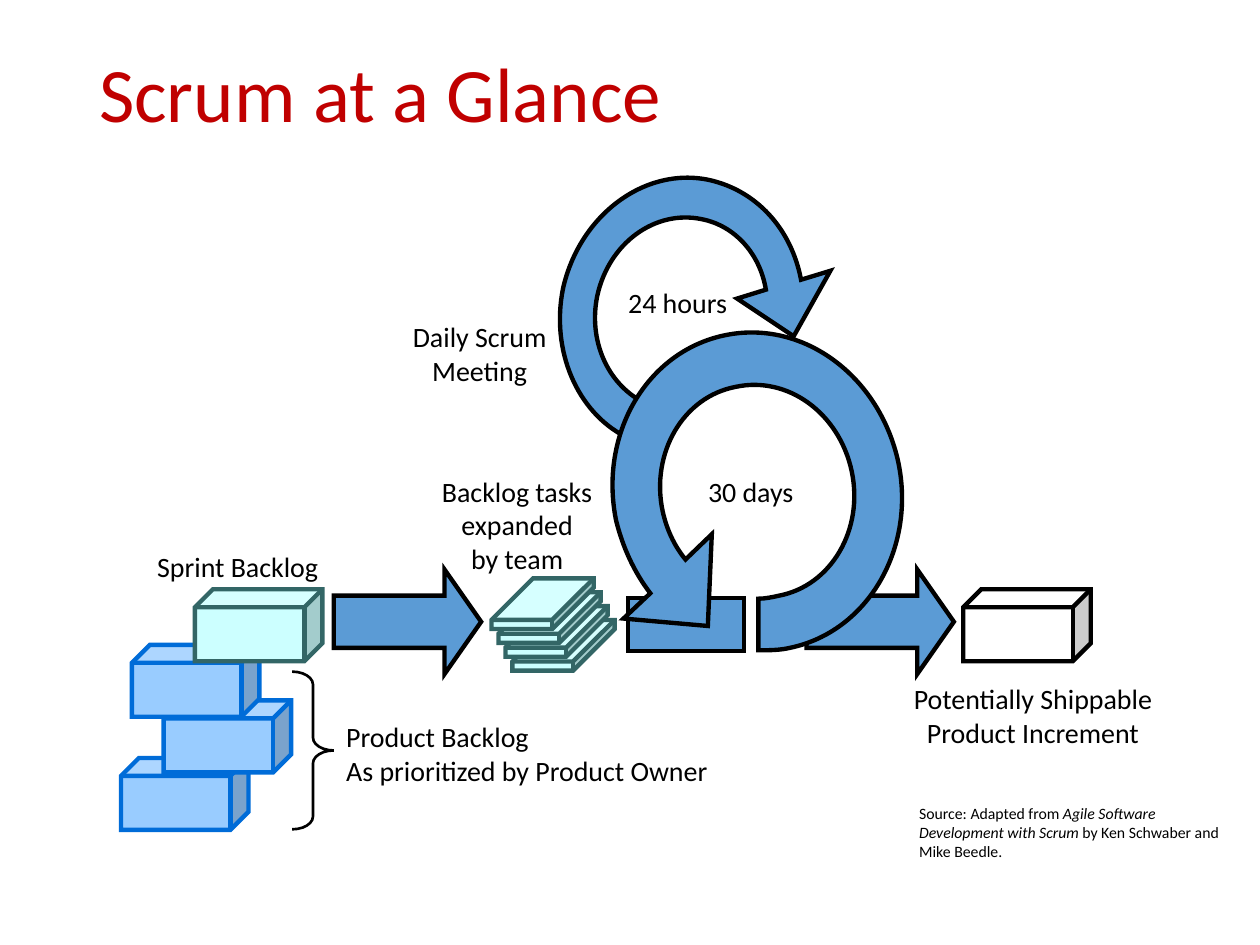
"""Build the "Scrum at a Glance" process slide."""
import lxml.etree
import pptx
import pptx.dml.color
import pptx.enum.shapes
import pptx.enum.text
import pptx.oxml.ns
import pptx.util

Cm = pptx.util.Cm
qn = pptx.oxml.ns.qn
RGBColor = pptx.dml.color.RGBColor
SHAPE = pptx.enum.shapes.MSO_SHAPE
ALIGN = pptx.enum.text.PP_ALIGN
AUTO = pptx.enum.text.MSO_AUTO_SIZE

BLACK = RGBColor(0x00, 0x00, 0x00)
WHITE = RGBColor(0xFF, 0xFF, 0xFF)
RED = RGBColor(0xC0, 0x00, 0x00)
BLUE = RGBColor(0x5B, 0x9B, 0xD5)
SKY = RGBColor(0x99, 0xCC, 0xFF)
COBALT = RGBColor(0x00, 0x6C, 0xD8)
MINT = RGBColor(0xCC, 0xFF, 0xFF)
TEAL = RGBColor(0x33, 0x66, 0x66)


def paint(shape, fill, line, width=2.5):
    shape.shadow.inherit = False
    if fill is None:
        shape.fill.background()
    else:
        shape.fill.solid()
        shape.fill.fore_color.rgb = fill
    shape.line.color.rgb = line
    shape.line.width = pptx.util.Pt(width)
    outline = shape.element.spPr.find(qn("a:ln"))
    lxml.etree.SubElement(outline, qn("a:miter"), lim="800000")


def add_loop(page, start, segments):
    builder = page.shapes.build_freeform(Cm(start[0]), Cm(start[1]), scale=1.0)
    builder.add_line_segments([(Cm(x), Cm(y)) for segment in segments for x, y in segment],
                              close=True)
    loop = builder.convert_to_shape()
    nodes = iter(list(loop.element.iter(qn("a:lnTo"))))
    for segment in segments:
        first, *others = [next(nodes) for point in segment]
        if others:
            curve = lxml.etree.Element(qn("a:cubicBezTo"))
            first.addprevious(curve)
            for node in (first, *others):
                curve.append(node[0])
                node.getparent().remove(node)
    paint(loop, BLUE, BLACK)


deck = pptx.Presentation()
deck.slide_width, deck.slide_height = Cm(25.4), Cm(19.05)
page = deck.slides.add_slide(deck.slide_layouts[6])

title = page.shapes.add_textbox(Cm(1.75), Cm(1.02), Cm(21.89), Cm(1.9))
title.text_frame.word_wrap = True
title.text_frame.vertical_anchor = pptx.enum.text.MSO_ANCHOR.MIDDLE
title.text_frame.text = "Scrum at a Glance"
para = title.text_frame.paragraphs[0]
para.line_spacing = 0.9
font = para.runs[0].font
font.name, font.size, font.color.rgb = "Calibri", pptx.util.Pt(44), RED

for left in (16.26, 6.73):
    arrow = page.shapes.add_shape(SHAPE.RIGHT_ARROW, Cm(left), Cm(11.48), Cm(2.97), Cm(2.11))
    arrow.adjustments[1] = 0.35
    paint(arrow, BLUE, BLACK)

bar = page.shapes.add_shape(SHAPE.RECTANGLE, Cm(12.66), Cm(12.06), Cm(2.34), Cm(1.07))
paint(bar, BLUE, BLACK)

add_loop(page, (15.44, 5.84), [
    [(15.32, 5.11), (14.81, 4.55), (14.15, 4.42)],
    [(13.21, 4.22), (12.27, 4.9), (12.04, 5.97)],
    [(11.86, 6.86), (12.24, 7.72), (12.95, 8.1)],
    [(12.62, 8.81)],
    [(11.63, 8.31), (11.1, 7.06), (11.35, 5.82)],
    [(11.68, 4.34), (13, 3.35), (14.3, 3.63)],
    [(15.24, 3.84), (15.95, 4.6), (16.15, 5.64)],
    [(16.74, 5.46)], [(16, 6.78)], [(14.86, 6.02)],
])

for left, top, fill, line in [
    (2.44, 15.28, SKY, COBALT),
    (3.3, 14.12, SKY, COBALT),
    (2.66, 13, SKY, COBALT),
    (3.93, 11.88, MINT, TEAL),
    (19.42, 11.88, WHITE, BLACK),
]:
    block = page.shapes.add_shape(SHAPE.CUBE, Cm(left), Cm(top), Cm(2.57), Cm(1.45))
    block.adjustments[0] = 0.25
    paint(block, fill, line)

tasks = page.shapes.add_group_shape()
for index in range(4):
    sheet = tasks.shapes.add_shape(SHAPE.CUBE, Cm(10.33 - 0.14 * index),
                                   Cm(12.5 - 0.28 * index), Cm(2.06), Cm(1.02))
    sheet.adjustments[0] = 0.82
    paint(sheet, MINT, TEAL)

add_loop(page, (13.82, 11.28), [
    [(13.59, 11), (13.44, 10.67), (13.36, 10.31)],
    [(13.11, 9.14), (13.77, 8), (14.83, 7.8)],
    [(15.88, 7.57), (16.92, 8.33), (17.17, 9.5)],
    [(17.42, 10.67), (16.76, 11.81), (15.7, 12.01)],
    [(15.57, 12.04), (15.42, 12.07), (15.29, 12.07)],
    [(15.29, 13.11)],
    [(15.49, 13.11), (15.72, 13.11), (15.93, 13.06)],
    [(17.5, 12.73), (18.47, 11.05), (18.11, 9.32)],
    [(17.73, 7.57), (16.18, 6.43), (14.61, 6.76)],
    [(13.03, 7.09), (12.07, 8.76), (12.42, 10.49)],
    [(12.55, 11.02), (12.78, 11.53), (13.11, 11.96)],
    [(12.57, 12.47)], [(14.27, 12.62)], [(14.35, 10.77)],
])

brace = page.shapes.add_shape(SHAPE.RIGHT_BRACE, Cm(5.89), Cm(13.54), Cm(0.84), Cm(3.18))
brace.adjustments[0] = 0.31
paint(brace, None, BLACK, 1.5)

for text, left, top, width, height, align in [
    ("30 days", 13.89, 9.45, 2.49, 0.94, ALIGN.CENTER),
    ("24 hours", 12.3, 5.64, 2.72, 0.94, ALIGN.CENTER),
    ("Product Backlog\nAs prioritized by Product Owner", 6.73, 14.39, 8.46, 1.63, ALIGN.LEFT),
    ("Sprint Backlog", 2.92, 10.95, 4.14, 0.94, ALIGN.LEFT),
    ("Backlog tasks\nexpanded\nby team", 8.43, 9.44, 3.99, 2.29, ALIGN.CENTER),
    ("Potentially Shippable\nProduct Increment", 17.94, 13.62, 5.77, 1.63, ALIGN.CENTER),
    ("Daily Scrum\nMeeting", 7.89, 6.32, 3.56, 1.63, ALIGN.CENTER),
]:
    box = page.shapes.add_textbox(Cm(left), Cm(top), Cm(width), Cm(height))
    box.text_frame.word_wrap = False
    box.text_frame.auto_size = AUTO.SHAPE_TO_FIT_TEXT
    box.text_frame.text = text
    for para in box.text_frame.paragraphs:
        para.alignment = align
        font = para.runs[0].font
        font.name, font.size, font.color.rgb = "Calibri", pptx.util.Pt(16), BLACK

source = page.shapes.add_textbox(Cm(18.28), Cm(16.08), Cm(6.55), Cm(1.4))
source.text_frame.word_wrap = True
source.text_frame.auto_size = AUTO.SHAPE_TO_FIT_TEXT
for text, italic in [
    ("Source: Adapted from ", False),
    ("Agile Software Development with Scrum ", True),
    ("by Ken Schwaber and Mike Beedle.", False),
]:
    span = source.text_frame.paragraphs[0].add_run()
    span.text = text
    span.font.italic = italic
    span.font.name, span.font.size, span.font.color.rgb = "Calibri", pptx.util.Pt(9), BLACK

deck.save("out.pptx")
